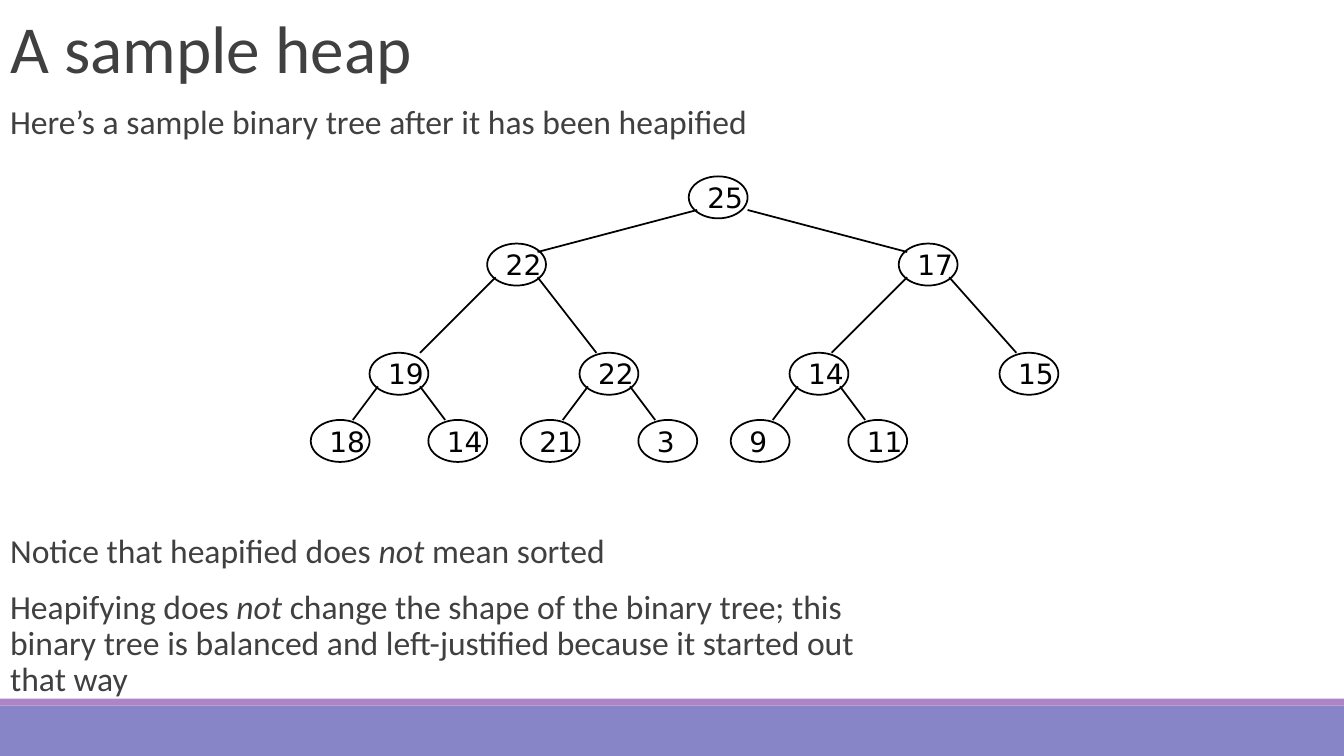
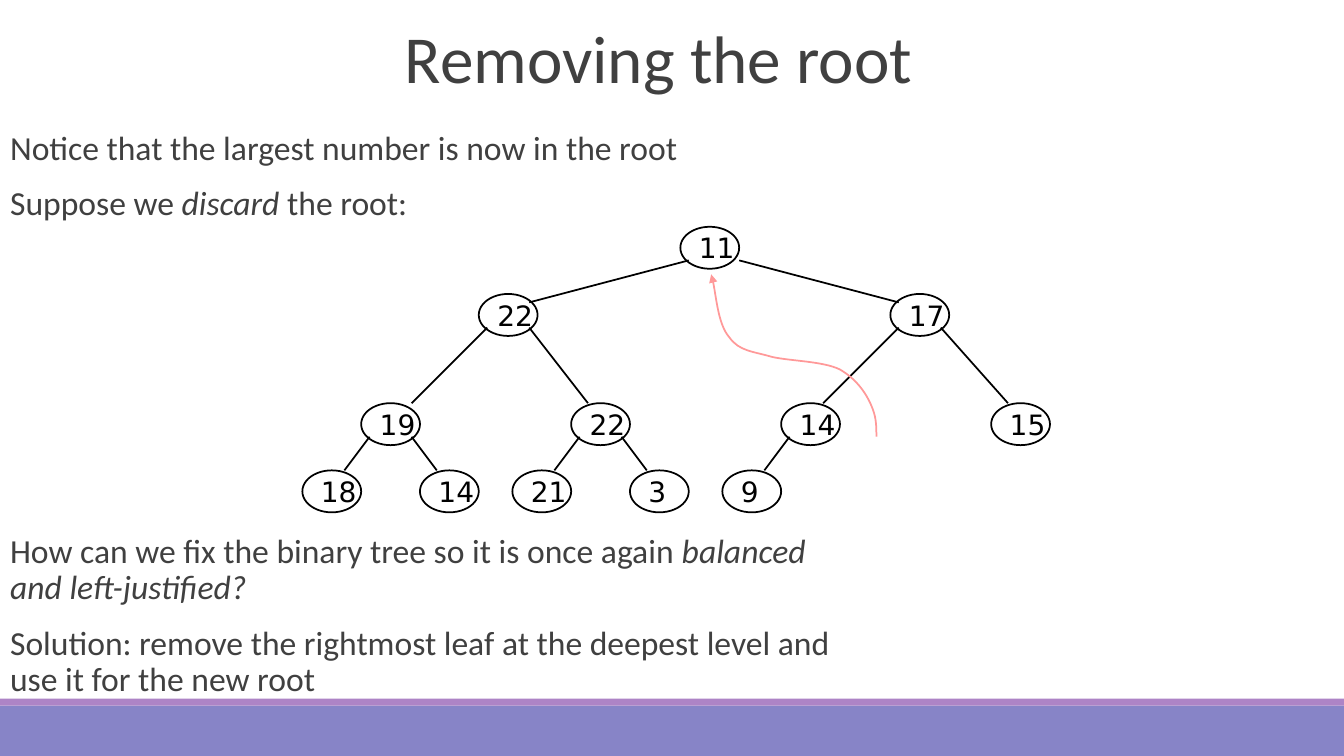
from lxml.etree import SubElement
from pptx import Presentation
from pptx.dml.color import RGBColor
from pptx.enum.shapes import MSO_CONNECTOR, MSO_SHAPE
from pptx.enum.text import MSO_ANCHOR, MSO_AUTO_SIZE, PP_ALIGN
from pptx.oxml.ns import qn
from pptx.util import Pt

COLORS = {
    "text": "404040",
    "footer": "8784C7",
    "stripe": "AD84C6",
    "tree": "000000",
    "arrow": "FF9999",
}
TEXT_FONT, NODE_FONT = "Calibri", "DejaVu Sans"
SLIDE_WIDTH, SLIDE_HEIGHT = 960, 540
BODY_WIDTH = 612
NODE_WIDTH, NODE_HEIGHT = 42, 30

NODE_POSITIONS = [(0, 0), (-144, 48), (150, 48)]
THIRD_LEVEL = [-228 + 150 * column for column in range(4)]
NODE_POSITIONS += [(x, 126) for x in THIRD_LEVEL]
NODE_POSITIONS += [(x + side, 174) for x in THIRD_LEVEL[:3] for side in (-42, 42)]

LEFT_EDGE, RIGHT_EDGE = (6, 30, 0), (36, 12, 0)
SPECIAL_EDGES = {1: (6, 36, 6), 2: (42, 6, 6), 3: (6, 36, 0)}

SLIDES = [
    {
        "title": "A sample heap",
        "title_at": (0, 9),
        "bodies": [
            (72, 60, [[("Here’s a sample binary tree after it has been heapified", False)]]),
            (378, 132, [
                [("Notice that heapified does ", False), ("not", True), (" mean sorted", False)],
                [("Heapifying does ", False), ("not", True),
                 (" change the shape of the binary tree; this binary tree is balanced "
                  "and left-justified because it started out that way", False)],
            ]),
        ],
        "root_at": (492, 126),
        "heap": [25, 22, 17, 19, 22, 14, 15, 18, 14, 21, 3, 9, 11],
        "arrow": [],
    },
    {
        "title": "Removing the root",
        "title_at": (282, 16),
        "bodies": [
            (90, 78, [
                [("Notice that the largest number is now in the root", False)],
                [("Suppose we ", False), ("discard", True), (" the root:", False)],
            ]),
            (378, 132, [
                [("How can we fix the binary tree so it is once again ", False),
                 ("balanced and left-justified?", True)],
                [("Solution: remove the rightmost leaf at the deepest level "
                  "and use it for the new root", False)],
            ]),
        ],
        "root_at": (486, 162),
        "heap": [11, 22, 17, 19, 22, 14, 15, 18, 14, 21, 3, 9],
        "arrow": [
            (626, 312), (626, 306), (626, 300), (624, 294),
            (620, 282), (612, 271), (600, 264),
            (588, 258), (565, 258), (551.5, 255),
            (538, 251), (528, 251), (521, 241),
            (513, 232), (511, 205), (508, 196),
        ],
    },
]


def place(shape, left, top, width, height):
    shape.left, shape.top = Pt(left), Pt(top)
    shape.width, shape.height = Pt(width), Pt(height)


def add_run(paragraph, text, font, size, color, italic=False):
    run = paragraph.add_run()
    run.text = text
    run.font.name = font
    run.font.size = Pt(size)
    run.font.italic = italic
    run.font.color.rgb = RGBColor.from_string(COLORS[color])


presentation = Presentation()
presentation.slide_width = Pt(SLIDE_WIDTH)
presentation.slide_height = Pt(SLIDE_HEIGHT)
two_content_layout = presentation.slide_layouts[3]
slides = [presentation.slides.add_slide(two_content_layout) for content in SLIDES]

for color, top, height in [("stripe", 499, 5), ("footer", 504, 36)]:
    band = slides[0].shapes.add_shape(
        MSO_SHAPE.RECTANGLE, 0, Pt(top), Pt(SLIDE_WIDTH), Pt(height))
    band.shadow.inherit = False
    band.fill.solid()
    band.fill.fore_color.rgb = RGBColor.from_string(COLORS[color])
    band.line.fill.background()
    presentation.slide_master.shapes.element.insert(2, band.element)

for slide, content in zip(slides, SLIDES):
    title = slide.shapes.title
    place(title, *content["title_at"], 678, 57)
    title.text_frame.auto_size = MSO_AUTO_SIZE.NONE
    title.text_frame.vertical_anchor = MSO_ANCHOR.BOTTOM
    paragraph = title.text_frame.paragraphs[0]
    paragraph.alignment = PP_ALIGN.LEFT
    paragraph.line_spacing = 0.85
    add_run(paragraph, content["title"], TEXT_FONT, 48, "text")

    for index, (top, height, paragraphs) in enumerate(content["bodies"], 1):
        body = slide.placeholders[index]
        place(body, 0, top, BODY_WIDTH, height)
        frame = body.text_frame
        frame.auto_size = MSO_AUTO_SIZE.NONE
        frame.vertical_anchor = MSO_ANCHOR.TOP
        frame.margin_left = frame.margin_right = 0
        for number, runs in enumerate(paragraphs):
            paragraph = frame.add_paragraph() if number else frame.paragraphs[0]
            paragraph.line_spacing = 0.9
            paragraph.space_before = Pt(12 if number else 0)
            paragraph.space_after = Pt(2)
            properties = paragraph._p.get_or_add_pPr()
            properties.set("marL", str(Pt(7.2)))
            properties.set("indent", "0")
            SubElement(properties, qn("a:buNone"))
            for text, italic in runs:
                add_run(paragraph, text, TEXT_FONT, 24, "text", italic)

    root_left, root_top = content["root_at"]
    corners = [(root_left + x, root_top + y) for x, y in NODE_POSITIONS]
    for index, value in enumerate(content["heap"]):
        left, top = corners[index]
        if index:
            parent_left, parent_top = corners[(index - 1) // 2]
            start_x, end_x, end_y = SPECIAL_EDGES.get(
                index, LEFT_EDGE if index % 2 else RIGHT_EDGE)
            edge = slide.shapes.add_connector(
                MSO_CONNECTOR.STRAIGHT,
                Pt(parent_left + start_x), Pt(parent_top + 24),
                Pt(left + end_x), Pt(top + end_y))
            edge.line.color.rgb = RGBColor.from_string(COLORS["tree"])
            edge.line.width = Pt(1.25)
            SubElement(edge.element.xpath("./p:spPr")[0], qn("a:effectLst"))

        node = slide.shapes.add_shape(
            MSO_SHAPE.OVAL, Pt(left), Pt(top), Pt(NODE_WIDTH), Pt(NODE_HEIGHT))
        node.shadow.inherit = False
        node.fill.background()
        node.line.color.rgb = RGBColor.from_string(COLORS["tree"])
        node.line.width = Pt(1.25)
        node.text_frame.word_wrap = False
        node.text_frame.vertical_anchor = MSO_ANCHOR.MIDDLE
        paragraph = node.text_frame.paragraphs[0]
        paragraph.alignment = PP_ALIGN.LEFT
        add_run(paragraph, str(value), NODE_FONT, 20, "tree")

    if content["arrow"]:
        start, *controls = [(Pt(x), Pt(y)) for x, y in content["arrow"]]
        builder = slide.shapes.build_freeform(*start)
        builder.add_line_segments(controls, close=False)
        arrow = builder.convert_to_shape()
        arrow.shadow.inherit = False
        arrow.fill.background()
        arrow.line.color.rgb = RGBColor.from_string(COLORS["arrow"])
        arrow.line.width = Pt(1.25)
        SubElement(arrow.element.xpath(".//a:ln")[0], qn("a:tailEnd"), type="triangle")
        outline = arrow.element.xpath(".//a:path")[0]
        segments = outline.xpath("./a:lnTo")
        for first in range(0, len(segments), 3):
            curve = SubElement(outline, qn("a:cubicBezTo"))
            for segment in segments[first:first + 3]:
                curve.append(segment[0])
                outline.remove(segment)

presentation.save("out.pptx")
